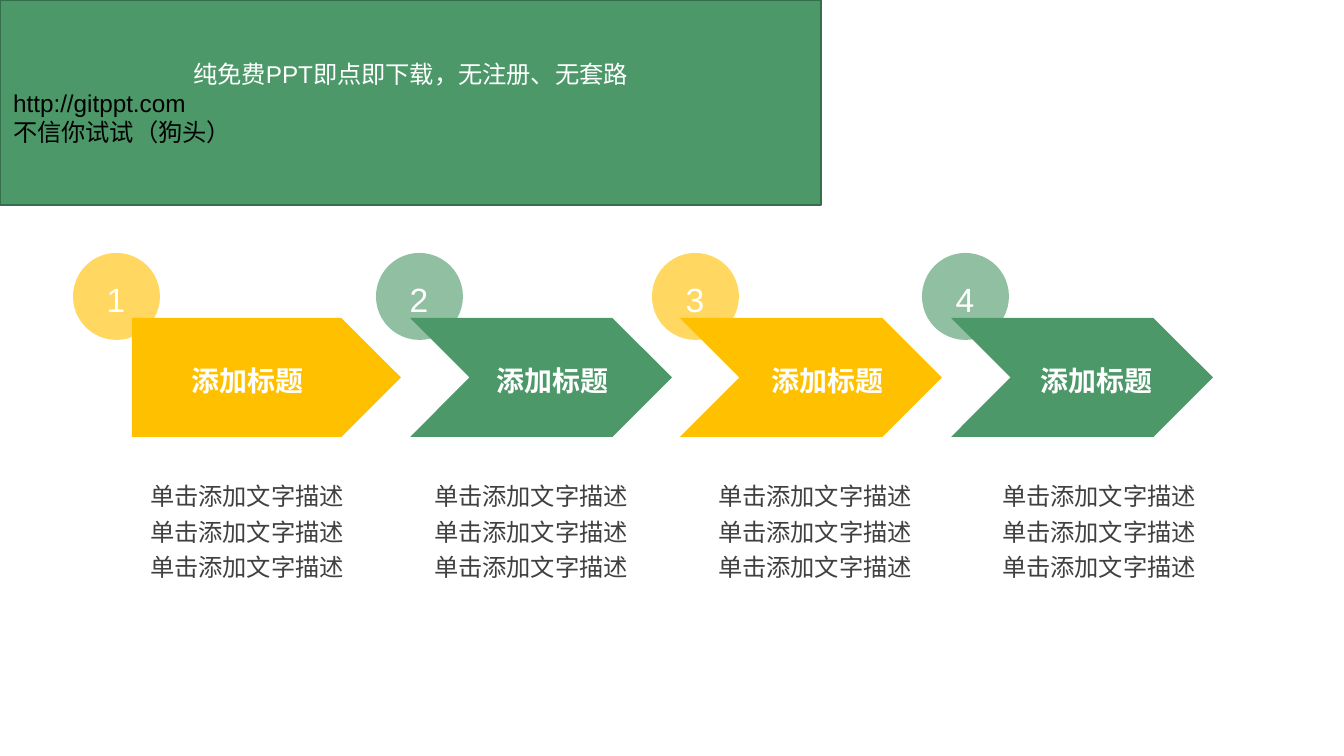
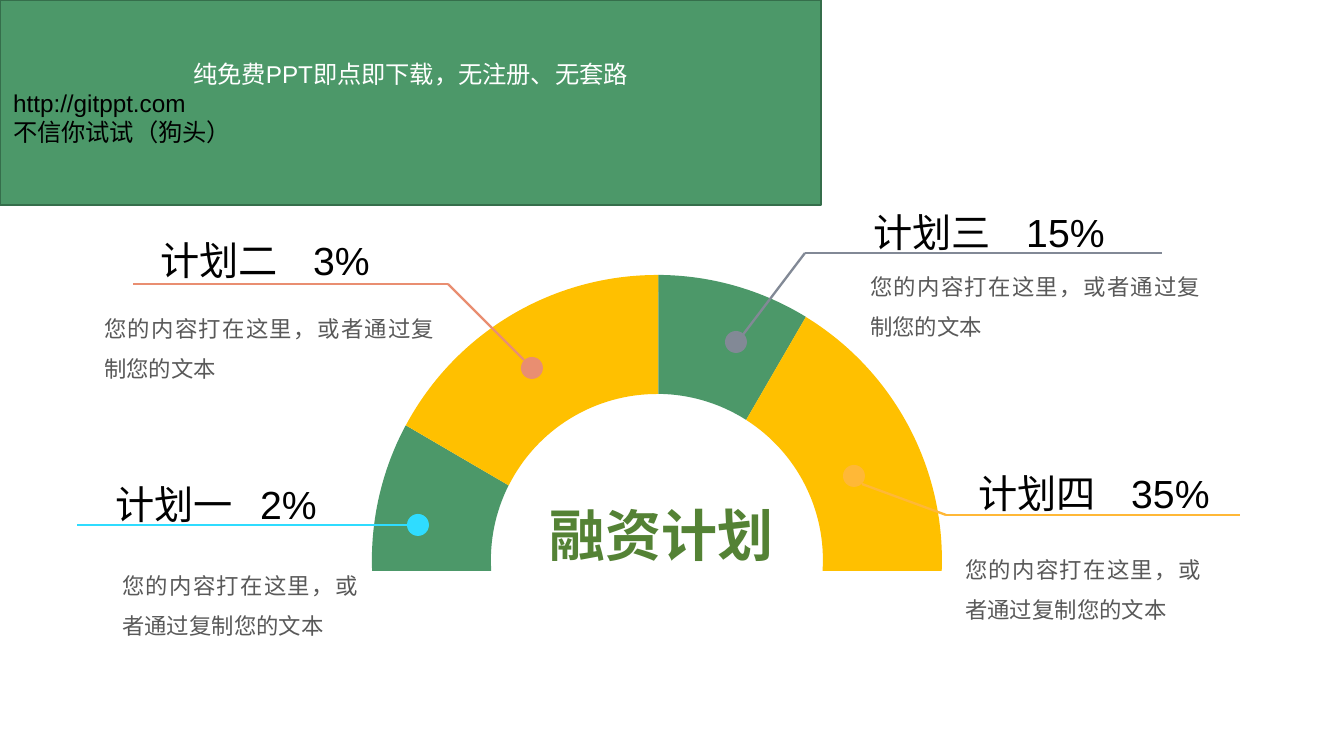
from dataclasses import dataclass
from math import asin, cos, degrees, radians, sin, tan

from lxml.etree import SubElement
from pptx import Presentation
from pptx.dml.color import RGBColor
from pptx.enum.shapes import MSO_CONNECTOR, MSO_SHAPE as SHAPE
from pptx.enum.text import MSO_ANCHOR as ANCHOR, MSO_AUTO_SIZE as FIT, PP_ALIGN as ALIGN
from pptx.oxml.ns import qn
from pptx.util import Emu, Pt


@dataclass(frozen=True)
class Theme:
    font: str = "Arial"
    green: str = "4C9869"
    green_edge: str = "356E4B"
    yellow: str = "FFC000"
    title: str = "548235"
    white: str = "FFFFFF"
    black: str = "000000"
    body: str = "404040"
    note: str = "595959"
    cyan: str = "2FDCFF"
    coral: str = "E98E71"
    grey: str = "828996"
    orange: str = "FFB837"
    title_size: int = 30
    label_size: int = 21
    number_size: int = 18
    step_size: int = 15
    body_size: int = 13
    note_size: int = 12


T = Theme()
SLIDE_W, SLIDE_H = 1344, 756
COMPARISON, TITLE_ONLY = 4, 5
BANNER = "纯免费PPT即点即下载，无注册、无套路\nhttp://gitppt.com\n不信你试试（狗头）"

# Funding ring: centre, radii and the level where it is cut off
CX, CY, R_OUT, R_IN, BASE_Y = 657, 560, 285, 166, 571


def px(n):
    return Emu(round(n * 914400 / 134.4))


def rgb(code):
    return RGBColor.from_string(code)


# Shared elements
def paint(sp, fill, edge=None, alpha=None):
    sp.shadow.inherit = False
    sp.fill.solid()
    sp.fill.fore_color.rgb = rgb(fill)
    if alpha:
        color = sp.fill._xPr.find(qn("a:solidFill"))[0]
        SubElement(color, qn("a:alpha")).set("val", str(alpha * 1000))
    if edge:
        sp.line.color.rgb = rgb(edge)
        sp.line.width = Pt(1)
    else:
        sp.line.fill.background()
    return sp


def add_shape(s, kind, x, y, w, h, fill, **style):
    sp = s.shapes.add_shape(kind, px(x), px(y), px(w), px(h))
    return paint(sp, fill, **style)


def write(sp, text, size, color, bold=False, align=ALIGN.LEFT, anchor=ANCHOR.TOP,
          spacing=None, before=0, tab=None):
    tf = sp.text_frame
    tf.text = text
    tf.word_wrap = True
    tf.auto_size = FIT.NONE
    tf.vertical_anchor = anchor
    for i, p in enumerate(tf.paragraphs):
        if tab:
            tabs = SubElement(p._p.get_or_add_pPr(), qn("a:tabLst"))
            SubElement(tabs, qn("a:tab"), pos=str(px(tab)), algn="l")
        p.alignment = align
        p.space_before = Pt(before if i else 0)
        if spacing:
            p.line_spacing = spacing
        for r in p.runs:
            r.font.name = T.font
            r.font.size = Pt(size)
            r.font.bold = bold
            r.font.color.rgb = rgb(color)


def add_text(s, x, y, w, h, text, size, color, **style):
    write(s.shapes.add_textbox(px(x), px(y), px(w), px(h)), text, size, color, **style)


def fill_placeholder(sp, x, y, w, h, text, size, color, **style):
    sp.left, sp.top, sp.width, sp.height = px(x), px(y), px(w), px(h)
    write(sp, text, size, color, **style)


def add_banner(s):
    sp = add_shape(s, SHAPE.RECTANGLE, 0, 0, 821, 205, T.green, edge=T.green_edge)
    write(sp, BANNER, T.body_size, T.black, anchor=ANCHOR.MIDDLE)
    headline = sp.text_frame.paragraphs[0]
    headline.alignment = ALIGN.CENTER
    headline.runs[0].font.color.rgb = rgb(T.white)


# Process steps
def add_step(s, number, arrow_x, arrow_w, title_x, circle_x):
    kind = SHAPE.PENTAGON if number == 1 else SHAPE.CHEVRON
    fill = T.yellow if number % 2 else T.green
    add_shape(s, kind, arrow_x, 318, arrow_w, 119, fill)
    add_text(s, title_x, 357, 158, 43, "添加标题", T.step_size, T.white,
             bold=True, align=ALIGN.CENTER)
    add_shape(s, SHAPE.OVAL, circle_x, 253, 87, 87, fill, alpha=62)
    add_text(s, circle_x + 8, 272, 70, 54, str(number), T.number_size, T.white,
             align=ALIGN.CENTER)


def add_step_list(sp, x):
    fill_placeholder(sp, x, 475, 266, 103, "\n".join(["单击添加文字描述"] * 3),
                     T.body_size, T.body, align=ALIGN.CENTER, before=3.3)
    for p in sp.text_frame.paragraphs:
        pPr = p._p.get_or_add_pPr()
        pPr.set("marL", "0")
        pPr.set("indent", "0")
        SubElement(pPr, qn("a:buNone"))


def build_steps(prs):
    s = prs.slides.add_slide(prs.slide_layouts[COMPARISON])
    title, *lists = list(s.placeholders)[:5]
    title._element.getparent().remove(title._element)
    for i, sp in enumerate(lists):
        add_step_list(sp, 114 + 284 * i)
    steps = [(132, 269, 169, 73), (410, 262, 474, 376),
             (680, 262, 749, 652), (951, 262, 1018, 922)]
    for number, step in enumerate(steps, 1):
        add_step(s, number, *step)
    add_banner(s)


# Funding ring
def arc(radius, start, end):
    """Return the four Bezier points of an arc between two angles in degrees."""
    a, b = radians(start), radians(end)
    k = 4 / 3 * tan((b - a) / 4)
    units = [(cos(a), sin(a)), (cos(a) - k * sin(a), sin(a) + k * cos(a)),
             (cos(b) + k * sin(b), sin(b) - k * cos(b)), (cos(b), sin(b))]
    return [(px(CX + radius * x), px(CY - radius * y)) for x, y in units]


def bend(lines):
    """Turn three line steps into one cubic curve through their points."""
    curve = lines[0].getparent().makeelement(qn("a:cubicBezTo"))
    lines[0].addprevious(curve)
    for line in lines:
        curve.append(line[0])
        line.getparent().remove(line)


def add_segment(s, start, end, fill):
    """Draw a ring piece; start and end are (outer, inner) angles in degrees."""
    points = arc(R_OUT, start[0], end[0]) + arc(R_IN, end[1], start[1])
    fb = s.shapes.build_freeform(*points[0], scale=1.0)
    fb.add_line_segments(points[1:], close=True)
    sp = paint(fb.convert_to_shape(), fill)
    lines = list(sp._element.iter(qn("a:lnTo")))
    bend(lines[:3])
    bend(lines[4:7])


def add_ring(s):
    dip = [degrees(asin((BASE_Y - CY) / r)) for r in (R_OUT, R_IN)]
    cuts = [[180 + d for d in dip], (151.8, 153.3), (89.7, 89.5), (58.5, 57.5),
            [-d for d in dip]]
    fills = [T.green, T.yellow] * 2
    for start, end, fill in zip(cuts, cuts[1:], fills):
        add_segment(s, start, end, fill)


def add_leader(s, color, dot, points):
    add_shape(s, SHAPE.FLOWCHART_CONNECTOR, *dot, 22, 22, color)
    for a, b in zip(points, points[1:]):
        line = s.shapes.add_connector(MSO_CONNECTOR.STRAIGHT, *map(px, a + b))
        line.line.color.rgb = rgb(color)
        line.line.width = Pt(1.25)
        SubElement(line._element.spPr, qn("a:effectLst"))


def add_plan(s, name, share, tab, color, dot, points, label, note, note_w):
    add_leader(s, color, dot, points)
    add_text(s, *label, 258, 60, f"{name}\t{share}", T.label_size, T.black, tab=tab)
    add_text(s, *note, note_w, 94, "您的内容打在这里，或者通过复制您的文本",
             T.note_size, T.note, align=ALIGN.JUSTIFY, spacing=1.5)


def build_funding(prs):
    s = prs.slides.add_slide(prs.slide_layouts[TITLE_ONLY])
    add_ring(s)
    fill_placeholder(s.shapes.title, 522, 494, 280, 81, "融资计划", T.title_size, T.title,
                     bold=True, align=ALIGN.CENTER)
    add_plan(s, "计划一", "2%", 145, T.cyan, (407, 514),
             [(407, 525), (77, 525)], (102, 474), (109, 552), 262)
    add_plan(s, "计划二", "3%", 153, T.coral, (521, 357),
             [(524, 360), (448, 284), (133, 284)], (147, 230), (91, 295), 357)
    add_plan(s, "计划三", "15%", 153, T.grey, (725, 331),
             [(742, 336), (805, 253), (1162, 253)], (860, 202), (857, 253), 357)
    add_plan(s, "计划四", "35%", 153, T.orange, (843, 465),
             [(862, 484), (946, 515), (1240, 515)], (965, 463), (952, 536), 262)
    add_banner(s)


def main():
    prs = Presentation()
    prs.slide_width, prs.slide_height = px(SLIDE_W), px(SLIDE_H)
    build_steps(prs)
    build_funding(prs)
    prs.save("out.pptx")


if __name__ == "__main__":
    main()
